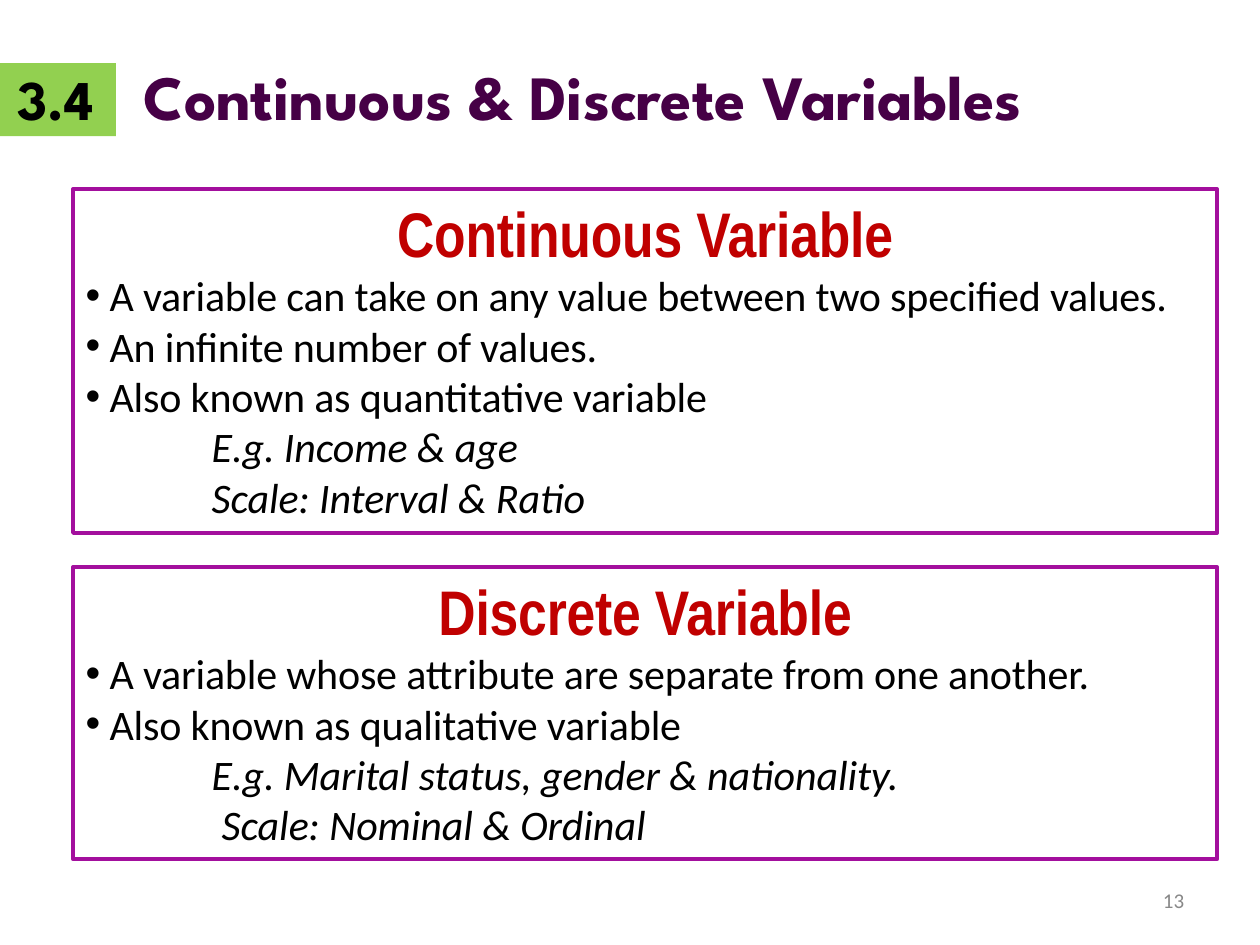
import dataclasses
import pptx
import pptx.dml.color
import pptx.enum.shapes
import pptx.enum.text
import pptx.oxml.ns
import pptx.util
import lxml.etree

Inches = pptx.util.Inches
Pt = pptx.util.Pt
Align = pptx.enum.text.PP_ALIGN


@dataclasses.dataclass(frozen=True)
class Theme:
    """Hold the colours, fonts and type sizes."""
    green: str = "92D050"
    plum: str = "460046"
    edge: str = "A30F9D"
    red: str = "C00000"
    ink: str = "000000"
    gray: str = "888888"
    display: str = "League Spartan"
    head: str = "Arial Narrow"
    body: str = "Calibri"
    large: float = 36
    badge: float = 32
    text: float = 24
    small: float = 12


def color(code):
    """Turn a hex code into a colour."""
    return pptx.dml.color.RGBColor.from_string(code)


def child(parent, tag, **attrs):
    """Append a drawing element with attributes."""
    node = lxml.etree.SubElement(parent, pptx.oxml.ns.qn("a:" + tag))
    for key, value in attrs.items():
        node.set(key, str(value))
    return node


def write(para, text, size, font, ink, bold=False, italic=False, track=-10):
    """Add one formatted run to a paragraph."""
    run = para.add_run()
    run.text = text
    run.font.size = Pt(size)
    run.font.name = font
    run.font.bold = bold
    run.font.italic = italic
    run.font.color.rgb = color(ink)
    run.font._element.set("spc", str(track))


class Page:
    """Draw elements on one slide in one theme."""

    def __init__(self, slide, theme):
        """Keep the slide and theme."""
        self.slide = slide
        self.theme = theme

    def place(self, shape, left, top, width, height, inset=0):
        """Position a text shape and set its frame."""
        shape.left, shape.top = Inches(left), Inches(top)
        shape.width, shape.height = Inches(width), Inches(height)
        frame = shape.text_frame
        frame.word_wrap = True
        frame.auto_size = pptx.enum.text.MSO_AUTO_SIZE.NONE
        frame.vertical_anchor = pptx.enum.text.MSO_ANCHOR.TOP
        frame.margin_left = frame.margin_right = frame.margin_bottom = 0
        frame.margin_top = Inches(inset)
        return frame

    def line(self, frame, first=False, pitch=None, left=0, hang=0, align=Align.LEFT):
        """Start a paragraph with its spacing, indent and bullet."""
        para = frame.paragraphs[0] if first else frame.add_paragraph()
        para.alignment = align
        para.space_before = Pt(0)
        if pitch:
            para.line_spacing = Pt(pitch)
        props = para._p.get_or_add_pPr()
        props.set("marL", str(Inches(left)))
        props.set("indent", str(Inches(-hang)))
        if hang:
            child(props, "buFont", typeface="Arial")
            child(props, "buChar", char="•")
        else:
            child(props, "buNone")
        return para

    def block(self, left, top, width, height):
        """Draw a plain green block behind the text."""
        kind = pptx.enum.shapes.MSO_SHAPE.RECTANGLE
        shape = self.slide.shapes.add_shape(
            kind, Inches(left), Inches(top), Inches(width), Inches(height))
        shape.shadow.inherit = False
        shape.fill.solid()
        shape.fill.fore_color.rgb = color(self.theme.green)
        shape.line.fill.background()
        self.slide.shapes._spTree.insert(2, shape._element)

    def title(self, number, text):
        """Fill the title with a number and a heading."""
        look = self.theme
        frame = self.place(self.slide.shapes.title, 0.13, 0.45, 8.7, 0.63, 0.01)
        para = self.line(frame, first=True, left=0.01)
        tabs = child(para._p.get_or_add_pPr(), "tabLst")
        child(tabs, "tab", pos=Inches(0.97), algn="l")
        write(para, number + "\t", look.badge, look.display, look.ink, bold=True)
        write(para, text, look.large, look.display, look.plum, bold=True, track=-5)

    def panel(self, slot, top, height, head, points, notes):
        """Fill a framed body with a heading, bullets and notes."""
        look = self.theme
        shape = self.slide.placeholders[slot]
        frame = self.place(shape, 0.58, top, 9.08, height, 0.05)
        shape.line.color.rgb = color(look.edge)
        shape.line.width = Pt(2.25)
        para = self.line(frame, first=True, pitch=42.5, align=Align.CENTER)
        write(para, head, look.large, look.head, look.red, bold=True)
        for point in points:
            para = self.line(frame, pitch=28.8, left=0.29, hang=0.19)
            write(para, point, look.text, look.body, look.ink)
        for left, note in notes:
            para = self.line(frame, pitch=28.8, left=left)
            write(para, note, look.text, look.body, look.ink, italic=True, track=-5)

    def number(self, text):
        """Write the page number."""
        look = self.theme
        box = self.slide.shapes.add_textbox(0, 0, 0, 0)
        frame = self.place(box, 9.2, 7.07, 0.23, 0.19)
        para = self.line(frame, first=True, pitch=12.4, left=0.03)
        write(para, text, look.small, look.body, look.gray, track=0)


deck = pptx.Presentation()
deck.slide_width, deck.slide_height = Inches(10), Inches(7.5)
page = Page(deck.slides.add_slide(deck.slide_layouts[3]), Theme())
page.block(0, 0.5, 0.92, 0.58)
page.title("3.4", "Continuous & Discrete Variables")
page.panel(
    1, 1.5, 2.73, "Continuous Variable",
    ["A variable can take on any value between two specified values.",
     "An infinite number of values.",
     "Also known as quantitative variable"],
    [(1.1, "E.g. Income & age"), (1.1, "Scale: Interval & Ratio")])
page.panel(
    2, 4.5, 2.32, "Discrete Variable",
    ["A variable whose attribute are separate from one another.",
     "Also known as qualitative variable"],
    [(1.1, "E.g. Marital status, gender & nationality."),
     (1.18, "Scale: Nominal & Ordinal")])
page.number("13")
deck.save("out.pptx")
